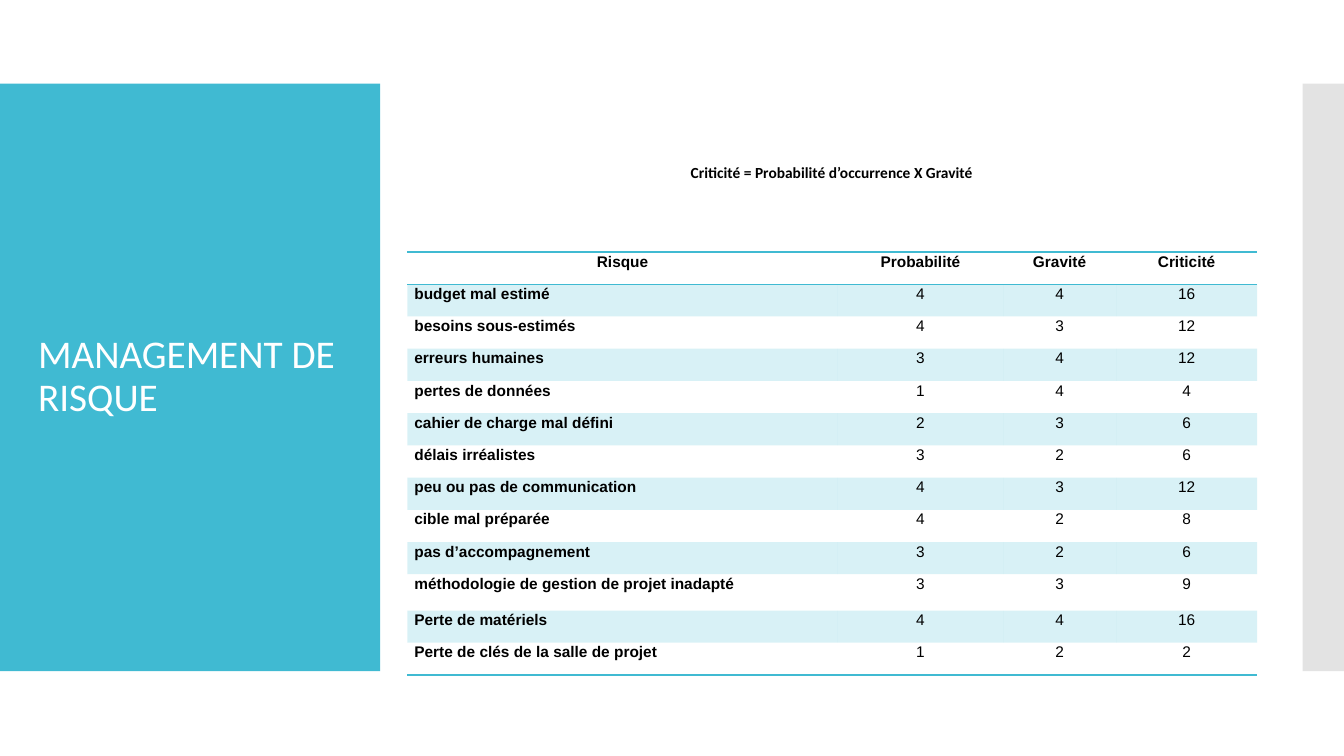
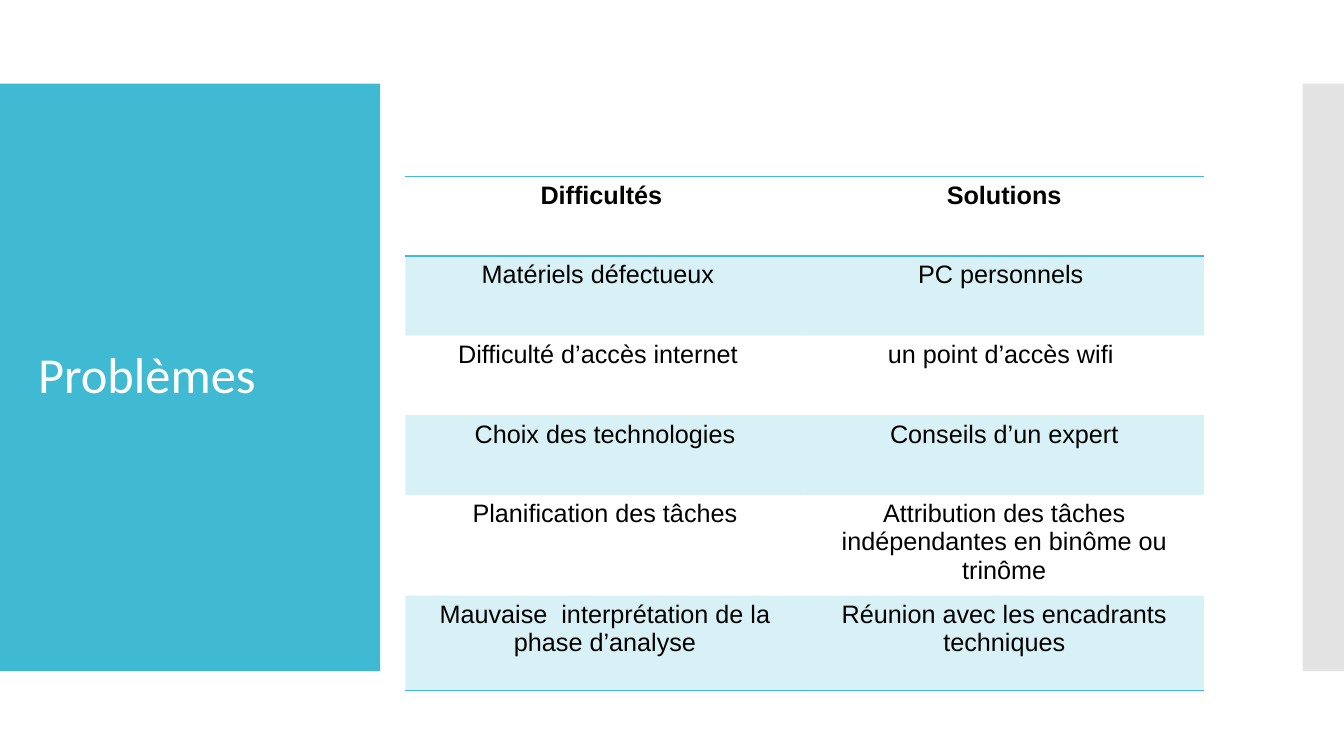
from dataclasses import dataclass

from lxml import etree
from pptx import Presentation
from pptx.dml import color as dml
from pptx.enum import shapes, text
from pptx.oxml import ns
from pptx.util import Inches, Pt


@dataclass(frozen=True)
class Theme:
    """Colours, fonts and type sizes of the deck."""
    teal: str = "40BAD2"
    grey: str = "C8C8C8"
    white: str = "FFFFFF"
    black: str = "000000"
    head: str = "Calibri"
    body: str = "Arial"
    small: int = 11
    large: int = 18
    title: int = 36
    snug: int = 28
    rule: int = 1


PLAIN = "{2D5ABB26-0587-4C30-8999-92F81FD0307C}"
MID = text.MSO_ANCHOR.MIDDLE
LEFT, MIDST = text.PP_ALIGN.LEFT, text.PP_ALIGN.CENTER
SIDES = ("left", "top", "right", "bottom")


def apply(item, form):
    """Set each value of a format on an item."""
    for key, val in form.items():
        setattr(item, key, val)


def pads(side, end):
    """Give the four margins of a text area."""
    sizes = (side, end, side, end)
    return {f"margin_{s}": Inches(n) for s, n in zip(SIDES, sizes)}


def tint(fill, props, hue, alpha=100):
    """Fill an area with a colour of some opacity."""
    fill.solid()
    fill.fore_color.rgb = dml.RGBColor.from_string(hue)
    if alpha < 100:
        tone = props.find(ns.qn("a:solidFill"))[0]
        etree.SubElement(tone, ns.qn("a:alpha"), val=str(alpha * 1000))


class Deck:
    """Holds the style and the current slide."""

    def __init__(self, theme):
        """Start an empty wide deck."""
        self.theme = theme
        self.show = Presentation()
        apply(self.show, {"slide_width": Inches(13.33), "slide_height": Inches(7.5)})
        self.page = None

    def slide(self, title, size):
        """Add a slide with its bands and title."""
        look = self.theme
        self.page = self.show.slides.add_slide(self.show.slide_layouts[6])
        self.band(0, 3.77, look.teal)
        self.band(12.92, 0.41, look.grey, 50)
        form = {"name": look.head, "size": Pt(size)}
        self.label(title, (0.28, 1.23, 3.22, 5.03), form, look.white, LEFT, 0.9)

    def band(self, left, width, hue, alpha=100):
        """Draw one upright side band."""
        box = [Inches(n) for n in (left, 0.83, width, 5.83)]
        band = self.page.shapes.add_shape(shapes.MSO_SHAPE.RECTANGLE, *box)
        band.shadow.inherit = False
        band.line.fill.background()
        tint(band.fill, band.element.spPr, hue, alpha)

    def put(self, frame, words, form, hue, align, pitch):
        """Put one styled paragraph in a text frame."""
        para = frame.paragraphs[0]
        apply(para, {"alignment": align, "line_spacing": pitch})
        run = para.add_run()
        run.text = words
        apply(run.font, form)
        run.font.color.rgb = dml.RGBColor.from_string(hue)

    def label(self, words, box, form, hue, align, pitch=1.0):
        """Add a text box centred on its height."""
        area = self.page.shapes.add_textbox(*(Inches(n) for n in box))
        frame = area.text_frame
        apply(frame, {"word_wrap": True, "vertical_anchor": MID} | pads(0.1, 0.05))
        self.put(frame, words, form, hue, align, pitch)

    def edge(self, props, side):
        """Rule one side of a cell."""
        line = etree.SubElement(props, ns.qn(f"a:ln{side}"), w=str(int(Pt(self.theme.rule))))
        fill = etree.SubElement(line, ns.qn("a:solidFill"))
        etree.SubElement(fill, ns.qn("a:srgbClr"), val=self.theme.teal)

    def table(self, spot, cols, highs, rows, size, pad, pitch=1.0, lead=False):
        """Add a ruled table with tinted odd rows."""
        look = self.theme
        box = [Inches(n) for n in (*spot, sum(cols), sum(highs))]
        frame = self.page.shapes.add_table(len(rows), len(cols), *box)
        frame.element.find(f".//{ns.qn('a:tableStyleId')}").text = PLAIN
        grid = frame.table
        for col, wide in zip(grid.columns, cols):
            col.width = Inches(wide)
        last = len(rows) - 1
        for i, (row, high) in enumerate(zip(rows, highs)):
            grid.rows[i].height = Inches(high)
            for j, words in enumerate(row):
                cell = grid.cell(i, j)
                apply(cell, pads(*pad))
                name = lead and i > 0 and j == 0
                form = {"name": look.body, "size": Pt(size), "bold": i == 0 or name}
                align = LEFT if name else MIDST
                self.put(cell.text_frame, str(words), form, look.black, align, pitch)
                props = cell._tc.get_or_add_tcPr()
                if i == 0:
                    self.edge(props, "T")
                if i in (0, last):
                    self.edge(props, "B")
                if i % 2:
                    tint(cell.fill, props, look.teal, 20)
                else:
                    cell.fill.background()


RISKS = [
    ("budget mal estimé", 4, 4),
    ("besoins sous-estimés", 4, 3),
    ("erreurs humaines", 3, 4),
    ("pertes de données", 1, 4),
    ("cahier de charge mal défini", 2, 3),
    ("délais irréalistes", 3, 2),
    ("peu ou pas de communication", 4, 3),
    ("cible mal préparée", 4, 2),
    ("pas d’accompagnement", 3, 2),
    ("méthodologie de gestion de projet inadapté", 3, 3),
    ("Perte de matériels", 4, 4),
    ("Perte de clés de la salle de projet", 1, 2),
]
ISSUES = [
    ("Difficultés ", "Solutions"),
    ("Matériels défectueux  ", "PC personnels "),
    ("Difficulté d’accès internet  ", "un point d’accès wifi "),
    ("Choix des technologies", "Conseils d’un expert"),
    ("Planification des tâches", "Attribution des tâches indépendantes en binôme ou trinôme"),
    ("Mauvaise  interprétation de la phase d’analyse", "Réunion avec les encadrants techniques"),
]


def main():
    """Build and save the two slides."""
    look = Theme()
    deck = Deck(look)

    deck.slide("MANAGEMENT DE RISQUE", look.snug)
    rows = [("Risque", "Probabilité", "Gravité", "Criticité")]
    rows += [(name, odds, harm, odds * harm) for name, odds, harm in RISKS]
    highs = [0.32] * 10 + [0.36] + [0.32] * 2
    deck.table((4.04, 2.5), (4.27, 1.64, 1.12, 1.4), highs, rows,
               look.small, (0.07, 0), 1.07, lead=True)
    form = {"name": look.head, "size": Pt(look.small), "bold": True}
    deck.label("Criticité = Probabilité d’occurrence X Gravité",
               (4.19, 1.56, 8.12, 0.29), form, look.black, MIDST)

    deck.slide("Problèmes", look.title)
    highs = [0.79] * 4 + [0.94] * 2
    deck.table((4.02, 1.75), (3.96, 3.96), highs, ISSUES, look.large, (0.1, 0.05))

    deck.show.save("out.pptx")


if __name__ == "__main__":
    main()
